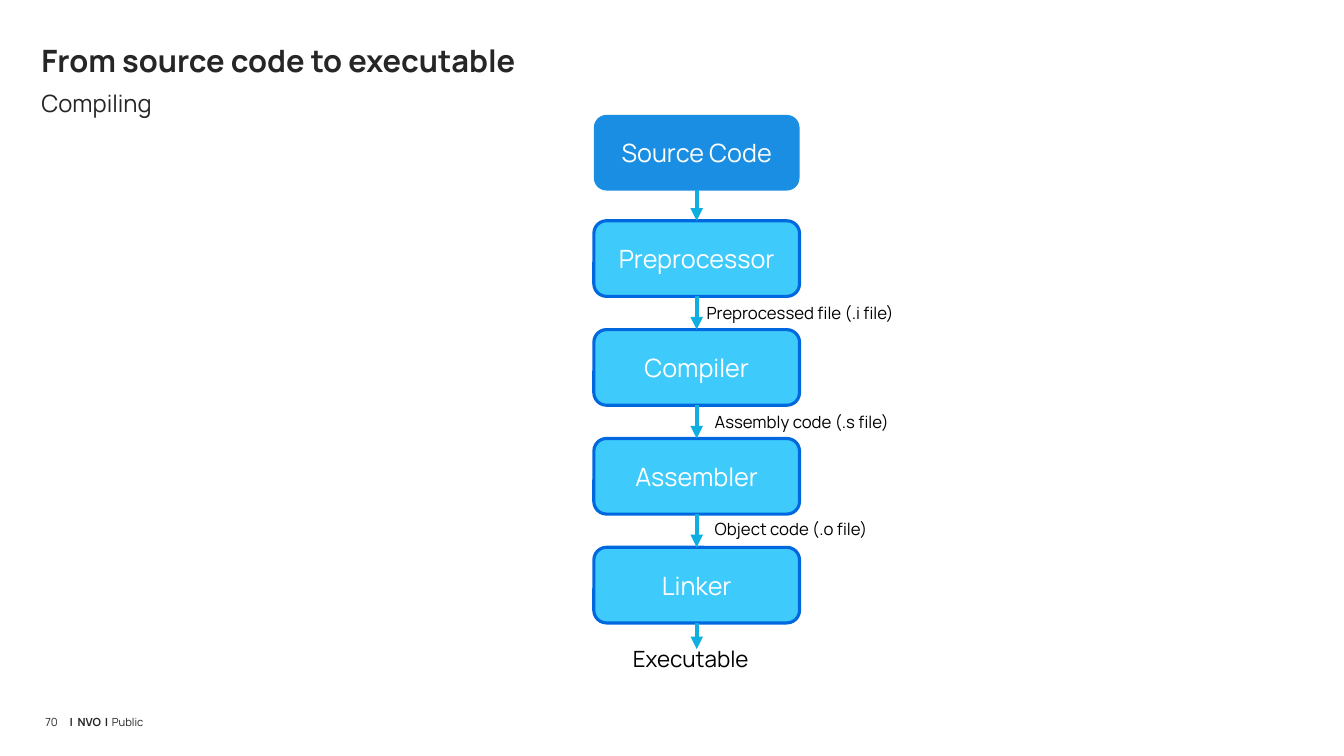
from lxml import etree
from pptx import Presentation
from pptx.dml.color import RGBColor
from pptx.enum import shapes, text
from pptx.oxml import ns
from pptx.util import Inches, Pt

FONT = "Manrope"
COLORS = {
    "ink": "262626",
    "black": "000000",
    "white": "FFFFFF",
    "source": "198EE2",
    "stage": "3ECAFB",
    "border": "0068DF",
    "arrow": "0EAFE0",
}


def color(name):
    return RGBColor.from_string(COLORS[name])


def add_text(left, top, width, height, content, size, ink="ink", bold=False, inset=(0, 0)):
    tf = s.shapes.add_textbox(Inches(left), Inches(top), Inches(width), Inches(height)).text_frame
    tf.word_wrap = True
    tf.margin_left = tf.margin_right = Inches(inset[0])
    tf.margin_top = tf.margin_bottom = Inches(inset[1])
    p = tf.paragraphs[0]
    r = p.add_run()
    r.text = content
    r.font.name, r.font.size, r.font.bold = FONT, Pt(size), bold
    r.font.color.rgb = color(ink)
    return p


prs = Presentation()
prs.slide_width, prs.slide_height = Inches(13.33), Inches(7.5)
s = prs.slides.add_slide(prs.slide_layouts[6])

# Title and subtitle
add_text(0.41, 0.41, 12.5, 0.44, "From source code to executable", 22, bold=True)
add_text(0.41, 0.88, 12.5, 0.49, "Compiling", 17)

# Footer, spaced with tab stops
number = add_text(0.45, 7, 0.18, 0.19, "70", 8)
footer = add_text(0.69, 7, 4.44, 0.19, "|\tNVO\t|\t", 8, bold=True)
tabs = etree.SubElement(footer._p.get_or_add_pPr(), ns.qn("a:tabLst"))
for stop in (0.08, 0.35, 0.42):
    etree.SubElement(tabs, ns.qn("a:tab"), pos=str(Inches(stop)), algn="l")
r = footer.add_run()
r.text = "Public"
r.font.name, r.font.size, r.font.bold = FONT, Pt(8), False
r.font.color.rgb = color("ink")
for p in (number, footer):
    p.line_spacing = Pt(16.8)

# Build stages
BOX_LEFT, BOX_WIDTH, BOX_HEIGHT = 5.89, 2.04, 0.75
stages = ["Source Code", "Preprocessor", "Compiler", "Assembler", "Linker"]
tops = [1.14] + [2.19 + 1.08 * i for i in range(4)]
for name, top in zip(stages, tops):
    sp = s.shapes.add_shape(shapes.MSO_SHAPE.ROUNDED_RECTANGLE, Inches(BOX_LEFT), Inches(top),
                            Inches(BOX_WIDTH), Inches(BOX_HEIGHT))
    sp.shadow.inherit = False
    sp.fill.solid()
    if name == "Source Code":
        sp.fill.fore_color.rgb = color("source")
        sp.line.fill.background()
    else:
        sp.fill.fore_color.rgb = color("stage")
        sp.line.color.rgb = color("border")
        sp.line.width = Pt(2.25)
    tf = sp.text_frame
    tf.text = name
    tf.margin_top = tf.margin_bottom = Inches(0.07)
    tf.vertical_anchor = text.MSO_ANCHOR.MIDDLE
    p = tf.paragraphs[0]
    p.alignment = text.PP_ALIGN.CENTER
    font = p.runs[0].font
    font.name, font.size = FONT, Pt(18)
    font.color.rgb = color("white")

# Arrows from each stage to the next
center = Inches(BOX_LEFT + BOX_WIDTH / 2)
for top, end in zip(tops, tops[1:] + [6.44]):
    arrow = s.shapes.add_connector(shapes.MSO_CONNECTOR.STRAIGHT, center,
                                   Inches(top + BOX_HEIGHT), center, Inches(end))
    arrow.line.color.rgb = color("arrow")
    arrow.line.width = Pt(3)
    etree.SubElement(arrow.line._get_or_add_ln(), ns.qn("a:tailEnd"), type="triangle")
    etree.SubElement(arrow._element.spPr, ns.qn("a:effectLst"))

# Intermediate files and result
for left, top, label in [
    (6.91, 2.95, "Preprocessed file (.i file)"),
    (6.99, 4.04, "Assembly code (.s file)"),
    (6.99, 5.1, "Object code (.o file)"),
]:
    add_text(left, top, 4, 0.3, label, 12, "black", inset=(0.1, 0.05))
add_text(6.18, 6.35, 1.44, 0.37, "Executable", 16, "black", inset=(0.1, 0.05))

prs.save("out.pptx")
